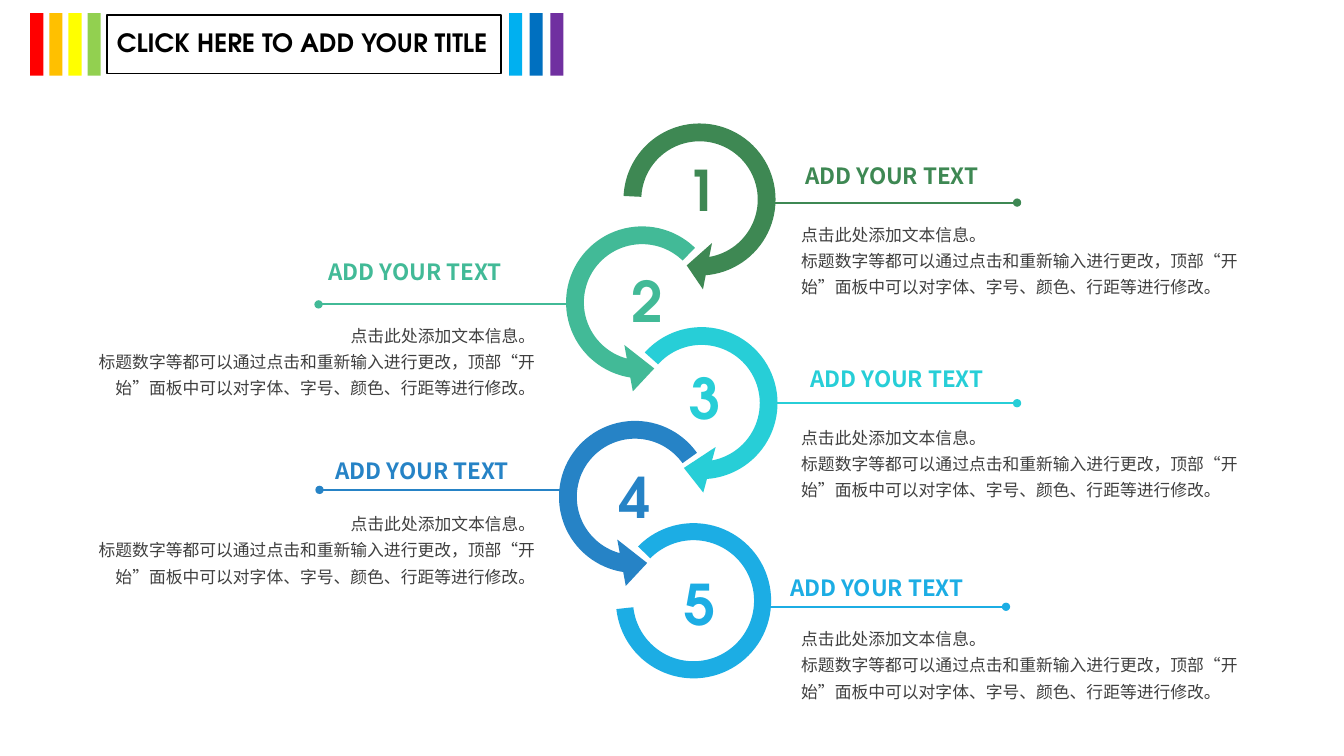
from pptx import Presentation, util as u
from pptx.dml.color import RGBColor
from pptx.enum import shapes, text
from pptx.oxml import parse_xml
from pptx.oxml.ns import qn, nsdecls

CELL = u.Inches(0.1)  # square grid, 133.33 columns by 75 rows
HEAD, SANS = "TeX Gyre Adventor", "Noto Sans CJK SC"
LEFT, RIGHT = text.PP_ALIGN.LEFT, text.PP_ALIGN.RIGHT
KIND = shapes.MSO_SHAPE


def grid(*cells):
    return [round(c * CELL) for c in cells]


def write(frame, lines, size, font, hue, bold=True, side=LEFT, gap=None):
    for i, line in enumerate(lines):
        para = frame.paragraphs[0] if i == 0 else frame.add_paragraph()
        para.alignment = side
        para.line_spacing = gap
        run = para.add_run()
        run.text = line
        run.font.size, run.font.bold, run.font.name = u.Pt(size), bold, font
        run.font.color.rgb = RGBColor.from_string(hue)
        ea = parse_xml(f'<a:ea {nsdecls("a")} typeface="{font}"/>')
        run.font._element.find(qn("a:latin")).addnext(ea)


deck = Presentation()
deck.slide_width, deck.slide_height = grid(133.33, 75)
slide = deck.slides.add_slide(deck.slide_layouts[5])
parts = slide.shapes

# Rainbow stripes on both sides of the title
warm = ["FF0000", "FFC000", "FFFF00", "92D050"]
cool = ["00B0F0", "0070C0", "7030A0"]
for start, step, hues in [(3, 1.9, warm), (50.5, 2.05, cool)]:
    for i, hue in enumerate(hues):
        bar = parts.add_shape(KIND.RECTANGLE, *grid(start + i * step, 1.3, 1.3, 6.2))
        bar.shadow.inherit = False
        bar.fill.solid()
        bar.fill.fore_color.rgb = RGBColor.from_string(hue)
        bar.line.fill.background()

# Title
title = parts.title
title.left, title.top, title.width, title.height = grid(10.6, 1.5, 39.1, 5.8)
title.line.color.rgb = RGBColor.from_string("000000")
title.line.width = u.Pt(1)
title.text_frame.auto_size = text.MSO_AUTO_SIZE.NONE
title.text_frame.vertical_anchor = text.MSO_ANCHOR.MIDDLE
write(title.text_frame, ["CLICK HERE TO ADD YOUR TITLE"], 18, HEAD, "000000", gap=0.9)
title.text_frame.paragraphs[0].space_before = u.Pt(10)

# Steps: colour, ring (x, y, size, turn), bends, line (x, y), digit, label, body top
arrow, arc = KIND.CIRCULAR_ARROW, KIND.BLOCK_ARC
steps = [
    ("3E8853", arrow, (60.4, 10.8, 18, 22.1), (0.098, 10.686, 36.658, 96.33, 0.13),
     (76.2, 20.1), (67.1, 14.9), (78.9, 15.6), 21.2),
    ("42BA97", arrow, (54.7, 21, 18, 342.7), (0.098, 13.213, 36.658, 125.165, 0.13),
     (56.3, 30.2), (61.7, 26), (31.6, 25.1), 31.2),
    ("27CED7", arrow, (60.6, 31, 18, 22.1), (0.098, 13.213, 36.658, 119.795, 0.13),
     (76.2, 40), (67.4, 35.6), (79.4, 35.7), 41.3),
    ("2683C6", arrow, (54, 40.3, 18, 342.7), (0.098, 13.213, 36.658, 118.868, 0.13),
     (56.4, 48.6), (60.5, 45.4), (32.3, 44.9), 49.9),
    ("1CADE4", arc, (61.1, 51.9, 15.4, 56.3), (100.856, 70.522, 0.11),
     (75.1, 60.2), (66.9, 56), (77.4, 56.5), 61.3),
]
body = [
    "点击此处添加文本信息。",
    "标题数字等都可以通过点击和重新输入进行更改，顶部“开始”面板中可以对"
    "字体、字号、颜色、行距等进行修改。",
]
for num, (hue, kind, spot, bends, start, digit, label, top) in enumerate(steps, 1):
    left = num % 2 == 0  # even steps point to the left
    tint = RGBColor.from_string(hue)

    # Line with a round end
    x, y = start
    reach = -24.7 if left else 24.7
    line = parts.add_connector(shapes.MSO_CONNECTOR.STRAIGHT, *grid(x, y, x + reach, y))
    line.line.color.rgb = tint
    line.line.width = u.Pt(1.5)
    line.line._get_or_add_ln().append(parse_xml(f'<a:tailEnd {nsdecls("a")} type="oval"/>'))
    line._element.spPr.append(parse_xml(f'<a:effectLst {nsdecls("a")}/>'))

    # Ring
    x, y, size, turn = spot
    ring = parts.add_shape(kind, *grid(x, y, size, size))
    ring.shadow.inherit = False
    ring.rotation = turn
    for i, bend in enumerate(bends):
        ring.adjustments[i] = bend
    if left:
        ring._element.spPr.xfrm.set("flipH", "1")
    ring.fill.solid()
    ring.fill.fore_color.rgb = tint
    ring.line.fill.background()

    # Digit, label and body text
    side = RIGHT if left else LEFT
    for place, lines, wrap, style in [
        ((*digit, 4.9, 7.7), [str(num)], False, (40, HEAD, hue)),
        ((*label, 20.9, 3.7), ["ADD YOUR TEXT"], False, (16, SANS, hue)),
        ((6.9 if left else 78.5, top, 47.2, 8.9), body, True,
         (12, SANS, "404040", False, side, 1.3)),
    ]:
        frame = parts.add_textbox(*grid(*place)).text_frame
        frame.word_wrap = wrap
        frame.auto_size = text.MSO_AUTO_SIZE.SHAPE_TO_FIT_TEXT
        write(frame, lines, *style)

deck.save("out.pptx")
